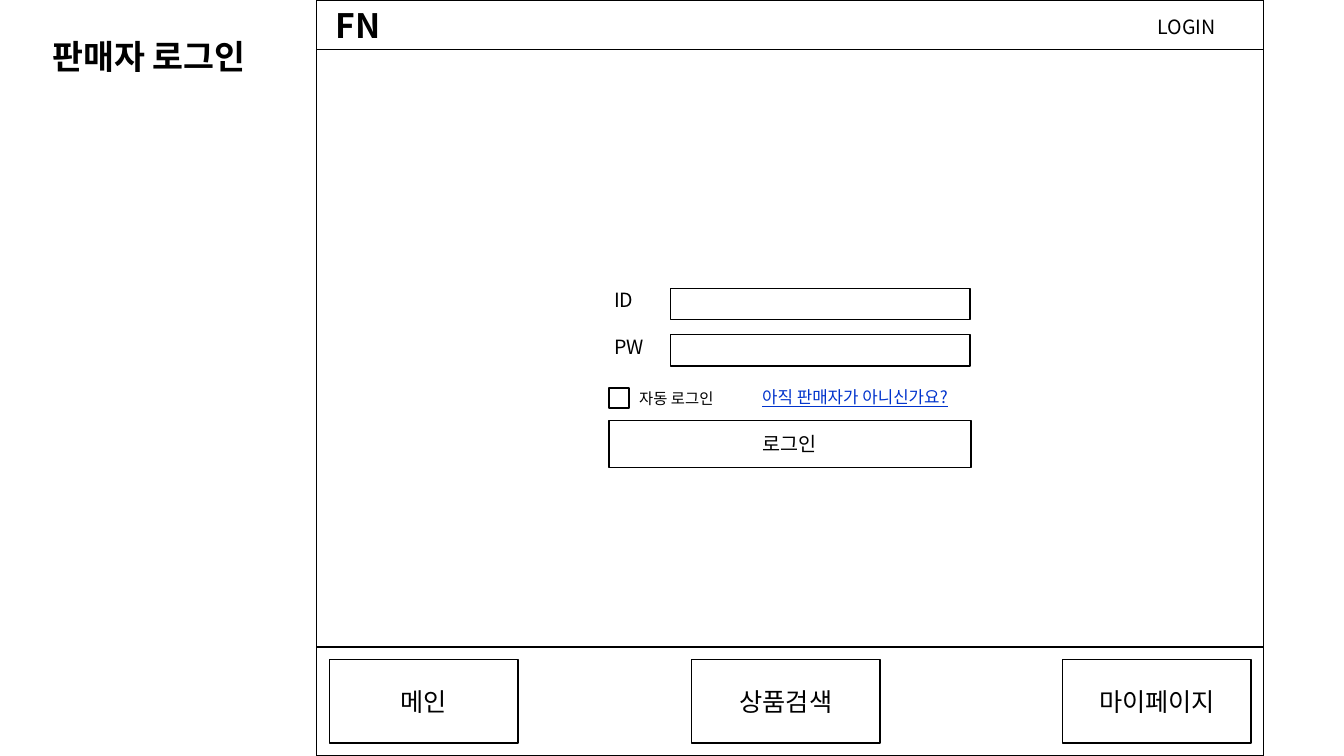
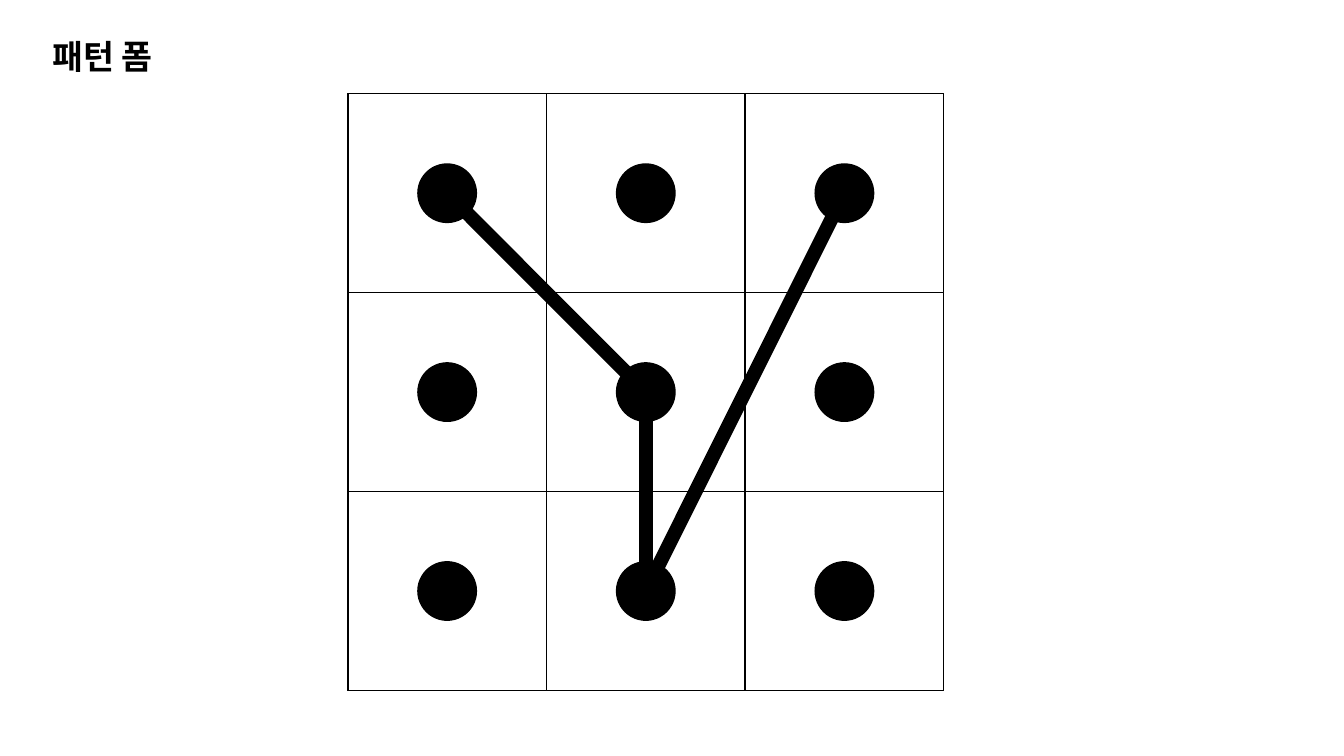
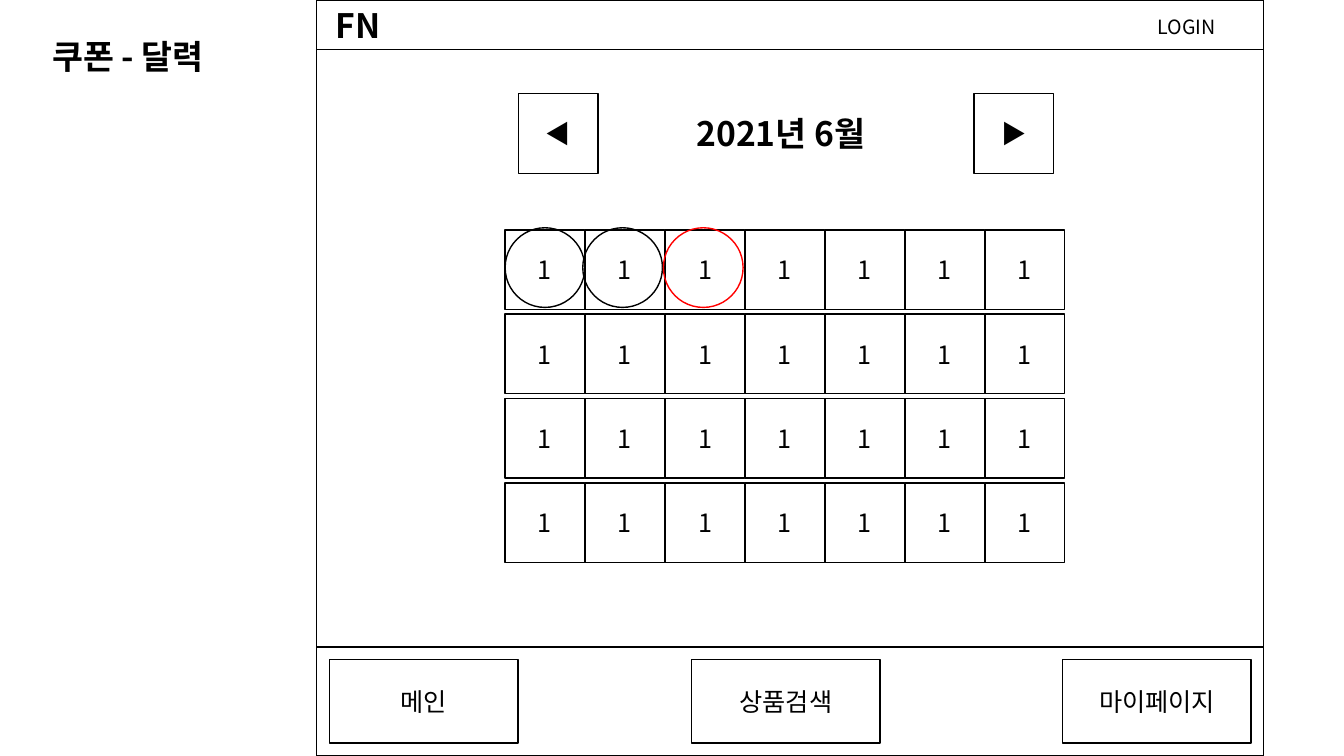
from itertools import pairwise, product

from lxml.etree import SubElement
from pptx import Presentation
from pptx.dml.color import RGBColor
from pptx.enum.shapes import MSO_CONNECTOR, MSO_SHAPE as Shape
from pptx.enum.text import MSO_ANCHOR as Anchor, MSO_AUTO_SIZE as AutoSize, PP_ALIGN as Align
from pptx.oxml.ns import qn
from pptx.util import Inches, Pt

BLACK = RGBColor(0x00, 0x00, 0x00)
WHITE = RGBColor(0xFF, 0xFF, 0xFF)
BLUE = RGBColor(0x00, 0x33, 0xCC)
RED = RGBColor(0xFF, 0x00, 0x00)
FONT = "Noto Sans CJK KR"
TITLES = ["판매자 로그인", "패턴 폼", "쿠폰 - 달력"]
FRAMED = {0, 2}
FRAME_LEFT, FRAME_WIDTH = 3.14, 9.39
HEADER_HEIGHT, FOOTER_TOP = 0.49, 6.42


def write(shape, text, size, color=BLACK, bold=False, label=True, inset=True, wrap=False):
    frame = shape.text_frame
    frame.word_wrap = wrap or not label
    frame.auto_size = AutoSize.SHAPE_TO_FIT_TEXT if label and not wrap else AutoSize.NONE
    frame.vertical_anchor = Anchor.TOP if label else Anchor.MIDDLE
    if not inset:
        frame.margin_left = frame.margin_right = frame.margin_top = frame.margin_bottom = 0
    paragraph = frame.paragraphs[0]
    paragraph.alignment = Align.LEFT if label else Align.CENTER
    run = paragraph.add_run()
    run.text = text
    run.font.name = FONT
    run.font.size = Pt(size)
    run.font.bold = bold
    run.font.color.rgb = color
    SubElement(run.font._element, qn("a:ea")).set("typeface", FONT)
    return run


def draw(slide, left, top, width, height, text="", size=18, kind=Shape.RECTANGLE, fill=WHITE, line=BLACK):
    shape = slide.shapes.add_shape(kind, Inches(left), Inches(top), Inches(width), Inches(height))
    shape.shadow.inherit = False
    if fill is None:
        shape.fill.background()
    else:
        shape.fill.solid()
        shape.fill.fore_color.rgb = fill
    if line is None:
        shape.line.fill.background()
    else:
        shape.line.color.rgb = line
        shape.line.width = Pt(1)
    if text:
        write(shape, text, size, label=False)
    return shape


presentation = Presentation()
presentation.slide_width, presentation.slide_height = Inches(13.33), Inches(7.5)
title_only = presentation.slide_layouts[5]

slides = []
for index, title_text in enumerate(TITLES):
    slide = presentation.slides.add_slide(title_only)
    slides.append(slide)
    title = slide.shapes.title
    title.left, title.top, title.width, title.height = Inches(0.42), Inches(0.31), Inches(2.34), Inches(0.5)
    write(title, title_text, 24, bold=True)
    if index in FRAMED:
        draw(slide, FRAME_LEFT, 0, FRAME_WIDTH, FOOTER_TOP)
        write(draw(slide, 11.48, 0.15, 0.65, 0.23, line=None), "LOGIN", 14, inset=False)
        site_name = slide.shapes.add_textbox(Inches(3.23), 0, Inches(0.71), Inches(0.48))
        write(site_name, "FN", 24, bold=True)
        draw(slide, FRAME_LEFT, 0, FRAME_WIDTH, HEADER_HEIGHT, fill=None)
        draw(slide, FRAME_LEFT, FOOTER_TOP, FRAME_WIDTH, 7.5 - FOOTER_TOP)
        for left, menu in [(3.27, "메인"), (6.86, "상품검색"), (10.54, "마이페이지")]:
            draw(slide, left, 6.54, 1.87, 0.83, menu)

login, pattern, calendar = slides

for top, field in [(2.86, "ID"), (3.32, "PW")]:
    draw(login, 6.65, top, 2.97, 0.31)
    write(draw(login, 6.09, top, 0.36, 0.24, line=None), field, 14, inset=False, wrap=True)
draw(login, 6.04, 4.17, 3.59, 0.47, "로그인", 14)
signup = draw(login, 7.56, 3.84, 2.05, 0.2, line=None)
write(signup, "아직 판매자가 아니신가요?", 12, BLUE, inset=False).font.underline = True
draw(login, 6.04, 3.85, 0.2, 0.2)
auto_login = login.shapes.add_textbox(Inches(6.24), Inches(3.81), Inches(1.03), Inches(0.29))
write(auto_login, "자동 로그인", 11)

BOARD_LEFT, BOARD_TOP, BOARD_WIDTH, BOARD_HEIGHT = 3.45, 0.93, 5.91, 5.92
CELL_WIDTH, CELL_HEIGHT, DOT = BOARD_WIDTH / 3, BOARD_HEIGHT / 3, 0.58
draw(pattern, BOARD_LEFT, BOARD_TOP, BOARD_WIDTH, BOARD_HEIGHT)
centers = {}
for row, column in product(range(3), repeat=2):
    left, top = BOARD_LEFT + column * CELL_WIDTH, BOARD_TOP + row * CELL_HEIGHT
    x, y = left + CELL_WIDTH / 2, top + CELL_HEIGHT / 2
    centers[row, column] = Inches(x), Inches(y)
    draw(pattern, left, top, CELL_WIDTH, CELL_HEIGHT)
    draw(pattern, x - DOT / 2, y - DOT / 2, DOT, DOT, kind=Shape.OVAL, fill=BLACK)
for start, end in pairwise([(0, 0), (1, 1), (2, 1), (0, 2)]):
    stroke = pattern.shapes.add_connector(MSO_CONNECTOR.STRAIGHT, *centers[start], *centers[end])
    stroke.line.color.rgb = BLACK
    stroke.line.width = Pt(10)
    SubElement(stroke._element.spPr, qn("a:effectLst"))

DAY = 0.79
for left, arrow in [(5.14, "◀"), (9.66, "▶")]:
    draw(calendar, left, 0.93, DAY, DAY, arrow)
month = calendar.shapes.add_textbox(Inches(6.81), Inches(1.07), Inches(1.97), Inches(0.5))
write(month, "2021년 6월", 24, bold=True, wrap=True)
for row, column in product(range(4), range(7)):
    draw(calendar, 5.01 + column * 4.76 / 6, 2.28 + row * 2.51 / 3, DAY, DAY, "1")
for left, color in [(5.01, BLACK), (5.78, BLACK), (6.58, RED)]:
    draw(calendar, left, 2.26, DAY, DAY, kind=Shape.OVAL, fill=None, line=color)

presentation.save("out.pptx")
